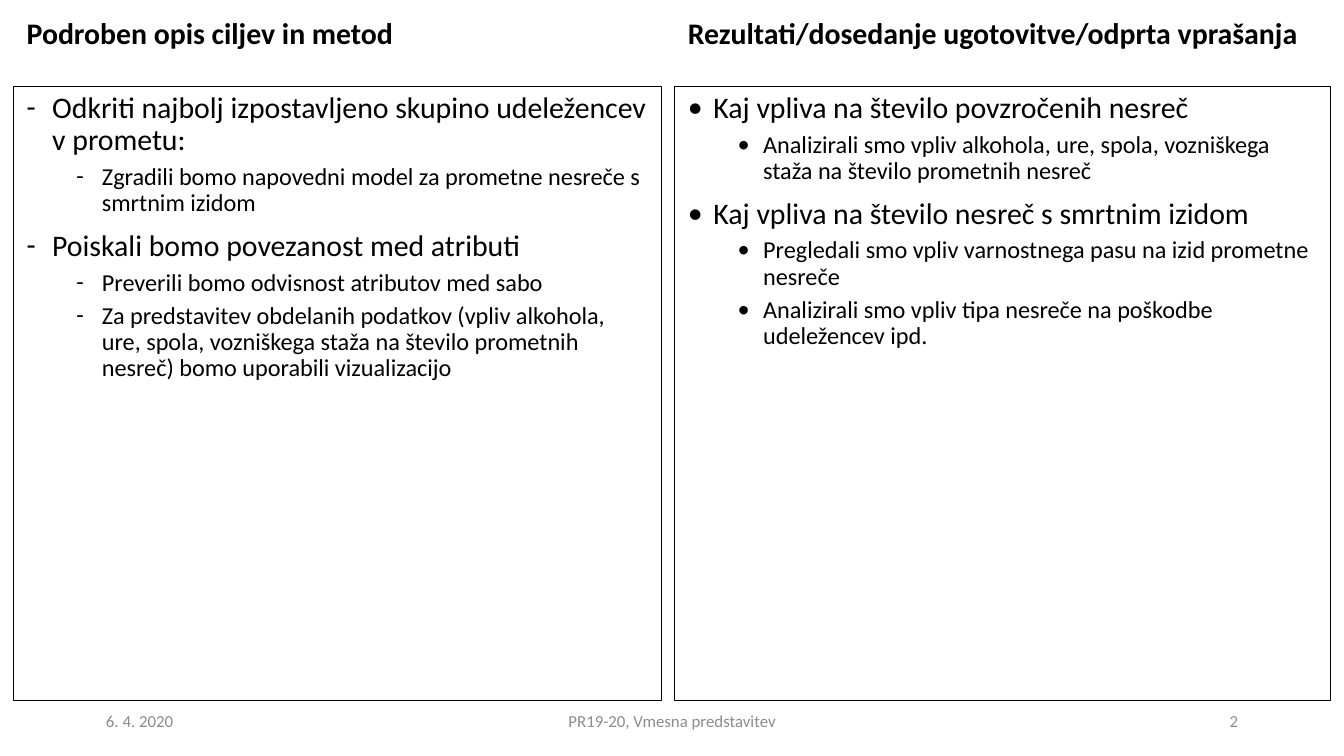
import dataclasses

import pptx
import pptx.dml.color
import pptx.enum.shapes
import pptx.enum.text
import pptx.util
from lxml import etree
from pptx.oxml import ns

ALIGN = pptx.enum.text.PP_ALIGN
ANCHOR = pptx.enum.text.MSO_ANCHOR


@dataclasses.dataclass(frozen=True)
class Theme:
    font: str = "Calibri"
    ink: str = "000000"
    muted: str = "8C8C8C"
    heading_size: float = 16
    level_sizes: tuple = (16, 13)
    footer_size: float = 9
    border: float = 0.75
    line_spacing: float = 0.9
    space_before: tuple = (7.5, 3.8)
    indents: tuple = (0.19, 0.56)
    hanging: float = 0.19


THEME = Theme()
SLIDE_WIDTH = pptx.util.Inches(10)
SLIDE_HEIGHT = SLIDE_WIDTH * 9 // 16

# Grid: (start, extent) in percent of the slide's width or height
COLUMNS = ((1, 48.2), (50.2, 48.8))
FOOTER_COLUMNS = ((6.9, 22.5), (33.1, 33.8), (70.6, 22.5))
HEADING_ROW, BODY_ROW, FOOTER_ROW = (1.6, 7.3), (11.4, 81.24), (92.67, 5.33)

# Each panel: heading, bullet character, (level, text) items
PANELS = (
    ("Podroben opis ciljev in metod", "-", (
        (0, "Odkriti najbolj izpostavljeno skupino udeležencev v prometu:"),
        (1, "Zgradili bomo napovedni model za prometne nesreče s smrtnim izidom"),
        (0, "Poiskali bomo povezanost med atributi"),
        (1, "Preverili bomo odvisnost atributov med sabo"),
        (1, "Za predstavitev obdelanih podatkov (vpliv alkohola, ure, spola, "
            "vozniškega staža na število prometnih nesreč) bomo uporabili vizualizacijo"),
    )),
    ("Rezultati/dosedanje ugotovitve/odprta vprašanja", "•", (
        (0, "Kaj vpliva na število povzročenih nesreč"),
        (1, "Analizirali smo vpliv alkohola, ure, spola, vozniškega staža "
            "na število prometnih nesreč"),
        (0, "Kaj vpliva na število nesreč s smrtnim izidom"),
        (1, "Pregledali smo vpliv varnostnega pasu na izid prometne nesreče"),
        (1, "Analizirali smo vpliv tipa nesreče na poškodbe udeležencev ipd."),
    )),
)
FOOTERS = (
    ("6. 4. 2020", ALIGN.LEFT),
    ("PR19-20, Vmesna predstavitev", ALIGN.CENTER),
    ("2", ALIGN.RIGHT),
)


def cell(column, row):
    """Left, top, width and height of a grid cell."""
    (left, width), (top, height) = column, row
    return (int(SLIDE_WIDTH * left / 100), int(SLIDE_HEIGHT * top / 100),
            int(SLIDE_WIDTH * width / 100), int(SLIDE_HEIGHT * height / 100))


def apply_format(target, values):
    for name, value in values.items():
        setattr(target, name, value)


def write(paragraph, text, size, color, bold=False, **paragraph_format):
    run = paragraph.add_run()
    run.text = text
    apply_format(run.font, {"name": THEME.font, "size": pptx.util.Pt(size), "bold": bold})
    run.font.color.rgb = pptx.dml.color.RGBColor.from_string(color)
    apply_format(paragraph, paragraph_format)


def add_bullet(paragraph, level, character):
    properties = paragraph._p.get_or_add_pPr()
    properties.set("marL", str(pptx.util.Inches(THEME.indents[level])))
    properties.set("indent", str(-pptx.util.Inches(THEME.hanging)))
    for tag, attribute, value in (("a:buFont", "typeface", THEME.font),
                                  ("a:buChar", "char", character)):
        etree.SubElement(properties, ns.qn(tag)).set(attribute, value)


def add_label(slide, area, text, size, color, anchor, **text_format):
    frame = slide.shapes.add_textbox(*area).text_frame
    apply_format(frame, {"word_wrap": True, "vertical_anchor": anchor})
    write(frame.paragraphs[0], text, size, color, **text_format)


def add_list_panel(slide, area, character, items):
    shape = slide.shapes.add_shape(pptx.enum.shapes.MSO_SHAPE.RECTANGLE, *area)
    shape.shadow.inherit = False
    shape.fill.background()
    shape.line.width = pptx.util.Pt(THEME.border)
    shape.line.color.rgb = pptx.dml.color.RGBColor.from_string(THEME.ink)
    frame = shape.text_frame
    apply_format(frame, {"word_wrap": True, "vertical_anchor": ANCHOR.TOP})
    for index, (level, text) in enumerate(items):
        paragraph = frame.add_paragraph() if index else frame.paragraphs[0]
        write(paragraph, text, THEME.level_sizes[level], THEME.ink,
              level=level, alignment=ALIGN.LEFT, line_spacing=THEME.line_spacing,
              space_before=pptx.util.Pt(THEME.space_before[level]))
        add_bullet(paragraph, level, character)


def main():
    presentation = pptx.Presentation()
    apply_format(presentation, {"slide_width": SLIDE_WIDTH, "slide_height": SLIDE_HEIGHT})
    slide = presentation.slides.add_slide(presentation.slide_layouts[6])

    # List panels
    for column, (_, character, items) in zip(COLUMNS, PANELS):
        add_list_panel(slide, cell(column, BODY_ROW), character, items)

    # Footer: date, title and slide number
    for column, (text, alignment) in zip(FOOTER_COLUMNS, FOOTERS):
        add_label(slide, cell(column, FOOTER_ROW), text, THEME.footer_size,
                  THEME.muted, ANCHOR.MIDDLE, alignment=alignment)

    # Headings
    for column, (heading, _, _) in zip(COLUMNS, PANELS):
        add_label(slide, cell(column, HEADING_ROW), heading, THEME.heading_size,
                  THEME.ink, ANCHOR.TOP, bold=True, line_spacing=THEME.line_spacing,
                  space_before=pptx.util.Pt(THEME.space_before[0]))

    presentation.save("out.pptx")


if __name__ == "__main__":
    main()
